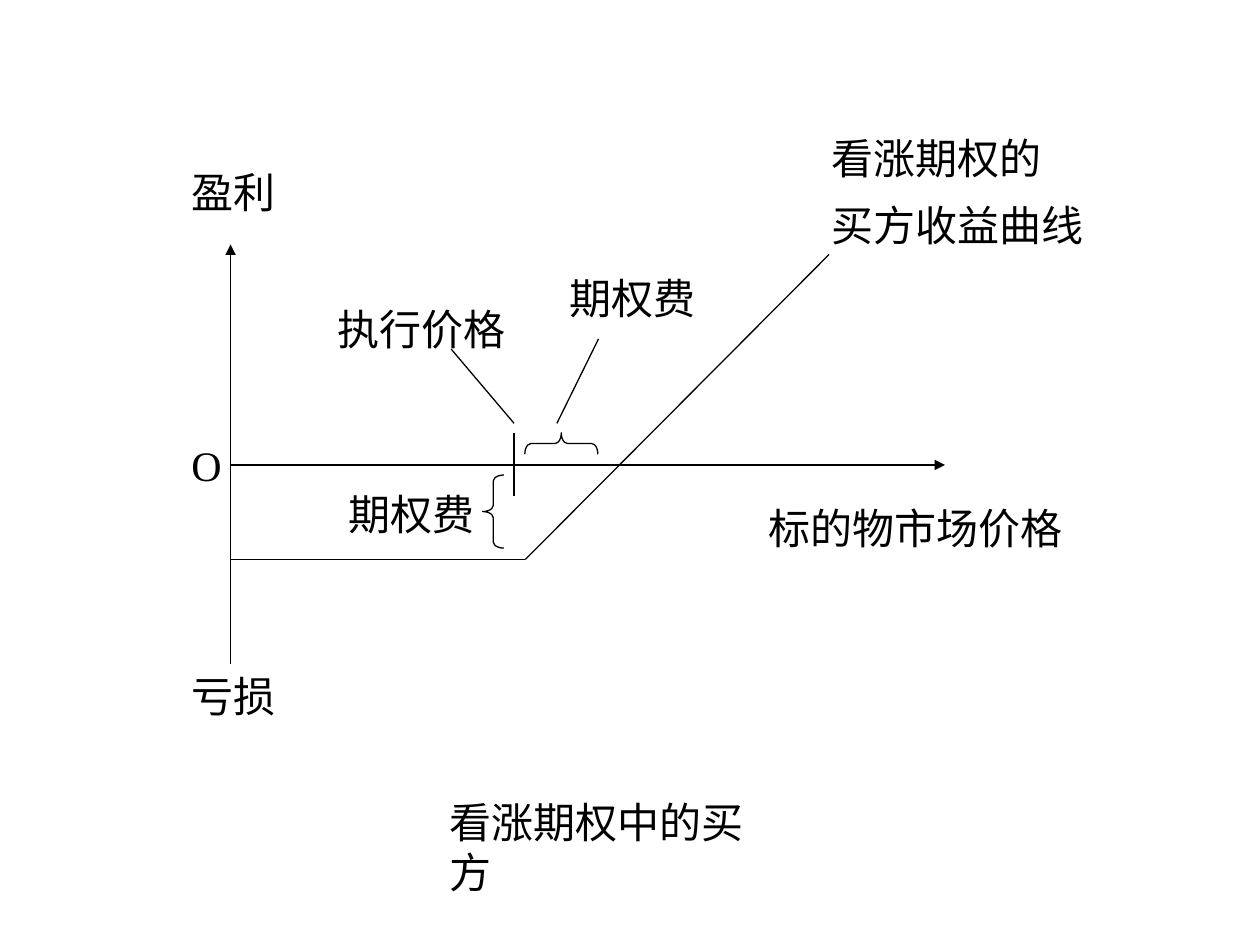
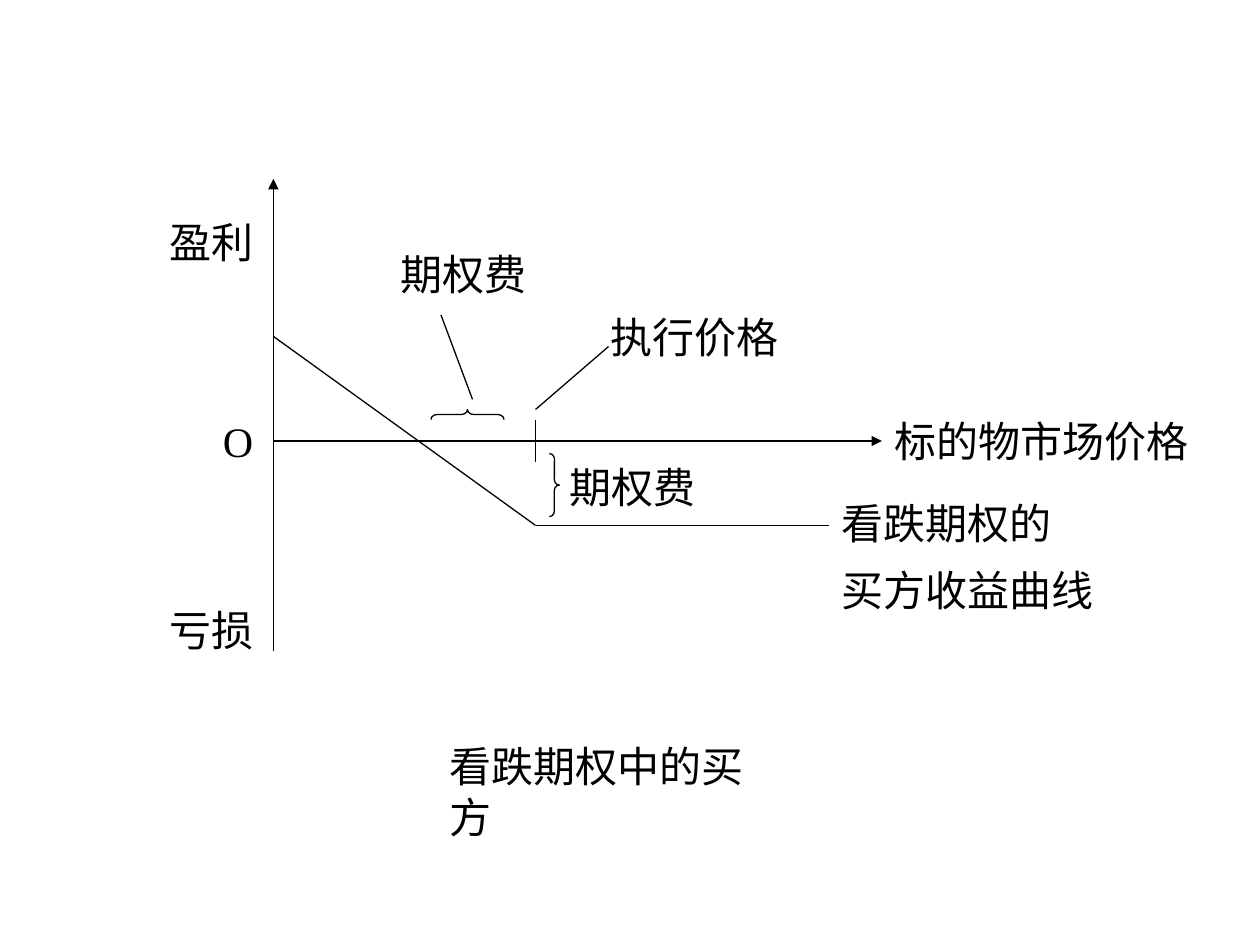
from lxml.etree import SubElement
from pptx import Presentation
from pptx.dml.color import RGBColor
from pptx.enum.shapes import MSO_CONNECTOR as Line, MSO_SHAPE as Shape
from pptx.oxml.ns import qn
from pptx.util import Inches, Pt

BLACK = RGBColor(0, 0, 0)
WHITE = RGBColor(255, 255, 255)
FONT = "Times New Roman"
PROFIT, LOSS, ORIGIN = "盈利", "亏损", "O"
PRICE, STRIKE, PREMIUM = "标的物市场价格", "执行价格", "期权费"


def write(frame, text, size=24, color=BLACK, spacing=None, gap=15):
    """Write each line of text as a paragraph, with a gap between them."""
    for index, line in enumerate(text.split("\n")):
        para = frame.paragraphs[0] if index == 0 else frame.add_paragraph()
        if index:
            para.space_before = Pt(gap)
        if spacing:
            para.line_spacing = spacing
        span = para.add_run()
        span.text = line
        span.font.name = FONT
        span.font.size = Pt(size)
        span.font.color.rgb = color


class PayoffDeck:
    """Holds the line style and the slide being drawn."""

    def __init__(self):
        self.deck = Presentation()
        self.deck.slide_width, self.deck.slide_height = Inches(10), Inches(7.5)
        self.line_color, self.line_width = BLACK, Pt(0.75)
        self.page = None

    def new_page(self):
        self.page = self.deck.slides.add_slide(self.deck.slide_layouts[6])
        self.page.background.fill.solid()
        self.page.background.fill.fore_color.rgb = WHITE

    def stroke(self, item):
        item.line.color.rgb = self.line_color
        item.line.width = self.line_width

    def label(self, text, left, top, width, height=0.5, wrap=True, **style):
        box = self.page.shapes.add_textbox(
            Inches(left), Inches(top), Inches(width), Inches(height))
        box.text_frame.word_wrap = wrap
        write(box.text_frame, text, **style)
        return box

    def line(self, start, end, arrow=False):
        link = self.page.shapes.add_connector(
            Line.STRAIGHT, *(Inches(value) for value in (*start, *end)))
        self.stroke(link)
        if arrow:
            SubElement(link.line._get_or_add_ln(), qn("a:tailEnd"), type="triangle")
        SubElement(link._element.spPr, qn("a:effectLst"))
        return link

    def polyline(self, *points):
        for start, end in zip(points, points[1:]):
            self.line(start, end)

    def axes(self, origin, top, bottom, right):
        """Draw both axes and return the horizontal one."""
        x, y = origin
        self.line((x, bottom), (x, top), arrow=True)
        return self.line(origin, (right, y), arrow=True)

    def brace(self, kind, left, top, width, length, rotation=0):
        mark = self.page.shapes.add_shape(
            kind, Inches(left), Inches(top), Inches(width), Inches(length))
        mark.rotation = rotation
        mark.shadow.inherit = False
        mark.fill.background()
        self.stroke(mark)
        # The curls take a twelfth of the length
        mark.adjustments[0] = length / 12 / width

    def curve_name(self, text, left, top, width):
        self.label(text, left, top, width, 0.95, spacing=0.8)

    def caption(self, text, top):
        self.label(text, 3.47, top, 2.86, wrap=False)


def call_buyer(chart):
    chart.new_page()
    # Axes and their names
    chart.axes((1.83, 3.69), top=1.94, bottom=5.27, right=7.5)
    chart.label(PROFIT, 1.42, 1.27, 1)
    chart.label(LOSS, 1.42, 5.27, 1.08)
    chart.label(ORIGIN, 1.42, 3.44, 0.67)
    chart.label(PRICE, 6, 3.94, 2.75)
    # Strike price
    chart.line((4.08, 3.44), (4.08, 3.94))
    chart.line((4.08, 3.36), (3.58, 2.77))
    chart.label(STRIKE, 2.58, 2.36, 1.58)
    # Payoff
    chart.polyline((1.83, 4.44), (4.17, 4.44), (6.58, 2.02))
    chart.curve_name("看涨期权的\n买方收益曲线", 6.5, 1.08, 2.58)
    # Premium, on both axes
    chart.brace(Shape.LEFT_BRACE, 3.83, 3.77, 0.17, 0.58)
    chart.label(PREMIUM, 2.67, 3.83, 1.25)
    chart.brace(Shape.RIGHT_BRACE, 4.37, 3.23, 0.17, 0.58, rotation=270)
    chart.line((4.42, 3.36), (4.75, 2.69))
    chart.label(PREMIUM, 4.42, 2.11, 1.25)
    chart.caption("看涨期权中的买方", 6.27)


def put_buyer(chart):
    chart.new_page()
    # Axes and their names
    price_axis = chart.axes((2.17, 3.5), top=1.42, bottom=5.17, right=7)
    chart.label(PROFIT, 1.25, 1.67, 0.92)
    chart.label(LOSS, 1.25, 4.75, 0.92)
    chart.label(ORIGIN, 1.67, 3.25, 0.58)
    price_name = chart.label(PRICE, 7, 3.25, 2.53, wrap=False)
    price_axis.end_connect(price_name, 1)
    # Strike price
    chart.line((4.25, 3.33), (4.25, 3.67))
    chart.line((4.25, 3.25), (4.83, 2.75))
    chart.label(STRIKE, 4.75, 2.42, 1.83)
    # Payoff
    chart.polyline((2.17, 2.67), (4.25, 4.17), (6.58, 4.17))
    chart.curve_name("看跌期权的\n买方收益曲线", 6.58, 3.98, 2.83)
    # Premium, on both axes
    chart.brace(Shape.RIGHT_BRACE, 4.36, 3.6, 0.08, 0.5)
    chart.label(PREMIUM, 4.42, 3.61, 1.25)
    chart.brace(Shape.LEFT_BRACE, 3.67, 3, 0.08, 0.58, rotation=90)
    chart.line((3.75, 3.17), (3.5, 2.5))
    chart.label(PREMIUM, 3.08, 1.92, 1.33)
    chart.caption("看跌期权中的买方", 5.83)


def main():
    chart = PayoffDeck()
    call_buyer(chart)
    put_buyer(chart)
    chart.deck.save("out.pptx")


if __name__ == "__main__":
    main()
